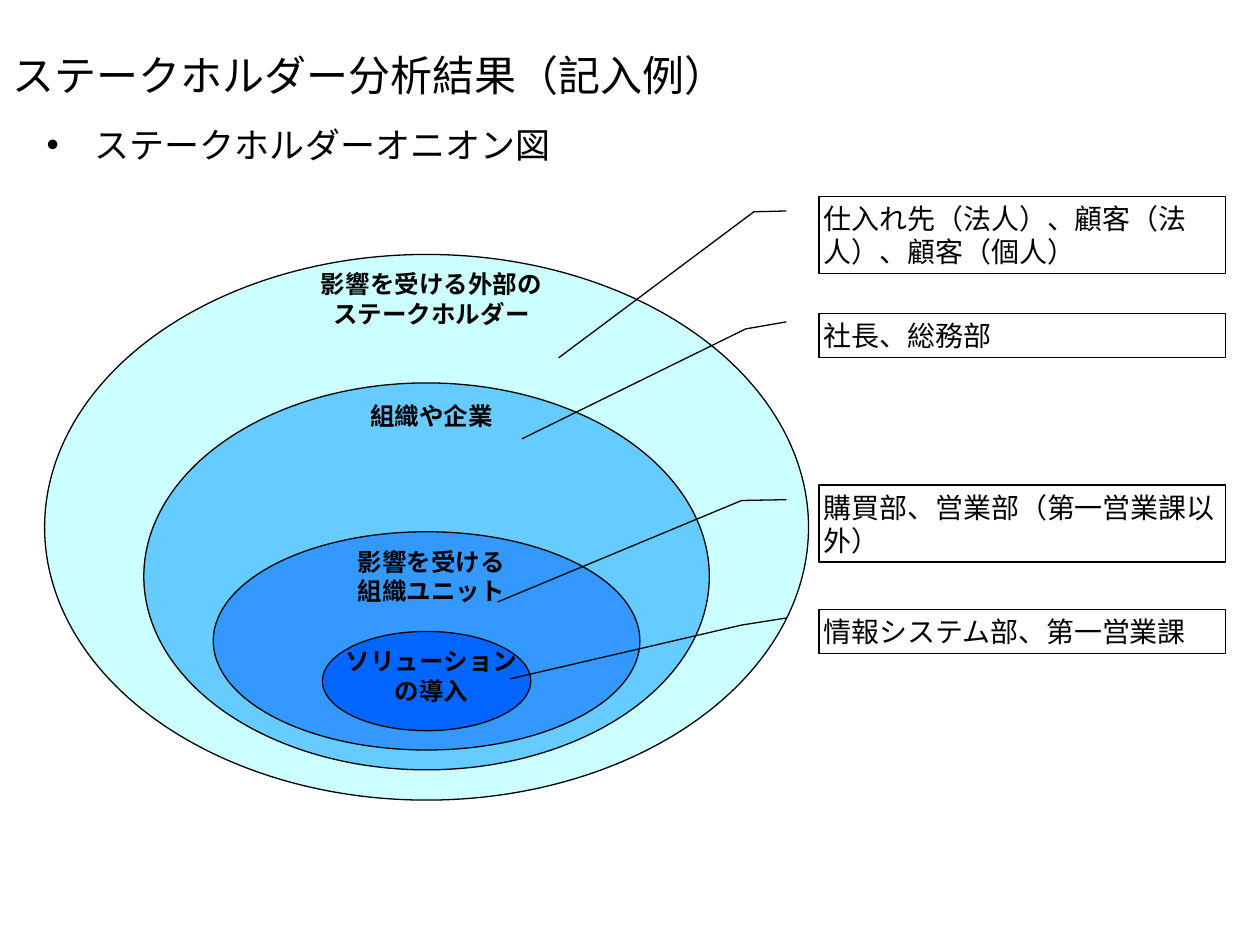
from lxml.etree import SubElement
from pptx import Presentation
from pptx.dml.color import RGBColor
from pptx.enum.shapes import MSO_SHAPE
from pptx.enum.text import MSO_ANCHOR, MSO_AUTO_SIZE, PP_ALIGN
from pptx.oxml.ns import qn
from pptx.util import Cm, Pt

COLOURS = {
    "ink": "000000",
    "external": "CCFFFF",
    "organisation": "66CCFF",
    "unit": "3399FF",
    "solution": "0066FF",
}

FONTS = {
    "title": {"name": "Times New Roman", "size": Pt(24)},
    "heading": {"name": "Times New Roman", "size": Pt(20)},
    "label": {"name": "Arial", "size": Pt(14), "bold": True},
    "callout": {"name": "Arial", "size": Pt(16)},
}

SNUG = {
    "word_wrap": True,
    "auto_size": MSO_AUTO_SIZE.SHAPE_TO_FIT_TEXT,
    "vertical_anchor": MSO_ANCHOR.TOP,
    "margin_left": Cm(0.1),
    "margin_right": Cm(0.1),
    "margin_top": Cm(0.1),
    "margin_bottom": Cm(0.1),
}
TITLE_FRAME = {"word_wrap": True, "vertical_anchor": MSO_ANCHOR.BOTTOM}
HEADING_FRAME = {"word_wrap": True, "vertical_anchor": MSO_ANCHOR.TOP}

RING_CENTRE = 8.6
LABEL_CENTRE = 8.7
LABEL_GAP = 0.2
CALLOUT_LEFT = 16.51
CALLOUT_WIDTH = 8.2
TWO_LINES = 1.55
ONE_LINE = 0.89

RINGS = [
    ("external", 5.13, 15.4, 11),
    ("organisation", 7.72, 11.4, 7.8),
    ("unit", 10.72, 8.6, 4.4),
    ("solution", 12.73, 4.2, 2),
]

LABELS = [
    (5.13, 7.2, ["影響を受ける外部の", "ステークホルダー"]),
    (7.78, 7.2, ["組織や企業"]),
    (12.73, 4.8, ["ソリューション", "の導入"]),
    (10.72, 7.2, ["影響を受ける", "組織ユニット"]),
]

CALLOUTS = [
    (3.96, TWO_LINES, (0.2, -0.16, 2.1, -0.64), "仕入れ先（法人）、顧客（法人）、顧客（個人）"),
    (6.32, ONE_LINE, (0.35, -0.18, 2.84, -0.73), "社長、総務部"),
    (9.78, TWO_LINES, (0.2, -0.19, 1.52, -0.79), "購買部、営業部（第一営業課以外）"),
    (12.29, ONE_LINE, (0.35, -0.19, 1.57, -0.76), "情報システム部、第一営業課"),
]
LEADER_START = (0.19, -0.08)


def apply(target, formats):
    for name, value in formats.items():
        setattr(target, name, value)


def colour(name):
    return RGBColor.from_string(COLOURS[name])


def write(box, lines, font, frame, align=PP_ALIGN.LEFT):
    apply(box.text_frame, frame)
    for index, line in enumerate(lines):
        para = box.text_frame.add_paragraph() if index else box.text_frame.paragraphs[0]
        para.alignment = align
        span = para.add_run()
        span.text = line
        apply(span.font, FONTS[font])
        span.font.color.rgb = colour("ink")


def add_text(page, place, lines, font, frame, align=PP_ALIGN.LEFT):
    box = page.shapes.add_textbox(*map(Cm, place))
    write(box, lines, font, frame, align)
    return box


def add_bullet(para, indent):
    properties = para._p.get_or_add_pPr()
    properties.set("marL", str(Cm(indent)))
    properties.set("indent", str(-Cm(indent)))
    SubElement(properties, qn("a:buFont")).set("typeface", "Arial")
    SubElement(properties, qn("a:buChar")).set("char", "•")


def add_outlined(page, kind, place):
    shape = page.shapes.add_shape(kind, *map(Cm, place))
    shape.shadow.inherit = False
    shape.line.color.rgb = colour("ink")
    shape.line.width = Pt(0.75)
    return shape


def add_ring(page, name, top, width, height):
    place = (RING_CENTRE - width / 2, top, width, height)
    ring = add_outlined(page, MSO_SHAPE.OVAL, place)
    ring.fill.solid()
    ring.fill.fore_color.rgb = colour(name)


def add_label(page, ring_top, width, lines):
    height = 1.4 if len(lines) > 1 else 0.79
    place = (LABEL_CENTRE - width / 2, ring_top + LABEL_GAP, width, height)
    add_text(page, place, lines, "label", SNUG, PP_ALIGN.CENTER)


def add_callout(page, top, height, leader, text):
    place = (CALLOUT_LEFT, top, CALLOUT_WIDTH, height)
    callout = add_outlined(page, MSO_SHAPE.LINE_CALLOUT_2, place)
    callout.fill.background()
    for index, value in enumerate(LEADER_START + leader):
        callout.adjustments[index] = value
    write(callout, [text], "callout", SNUG)


def main():
    deck = Presentation()
    deck.slide_width, deck.slide_height = Cm(25.4), Cm(19.05)
    page = deck.slides.add_slide(deck.slide_layouts[6])

    add_text(page, (0, 0.61, 25.4, 1.52), ["ステークホルダー分析結果（記入例）"], "title", TITLE_FRAME)
    heading = add_text(page, (0.69, 2.36, 24, 1.09), ["ステークホルダーオニオン図"], "heading", HEADING_FRAME)
    add_bullet(heading.text_frame.paragraphs[0], 0.97)

    for ring in RINGS:
        add_ring(page, *ring)
    for label in LABELS:
        add_label(page, *label)
    for callout in CALLOUTS:
        add_callout(page, *callout)

    deck.save("out.pptx")


if __name__ == "__main__":
    main()
